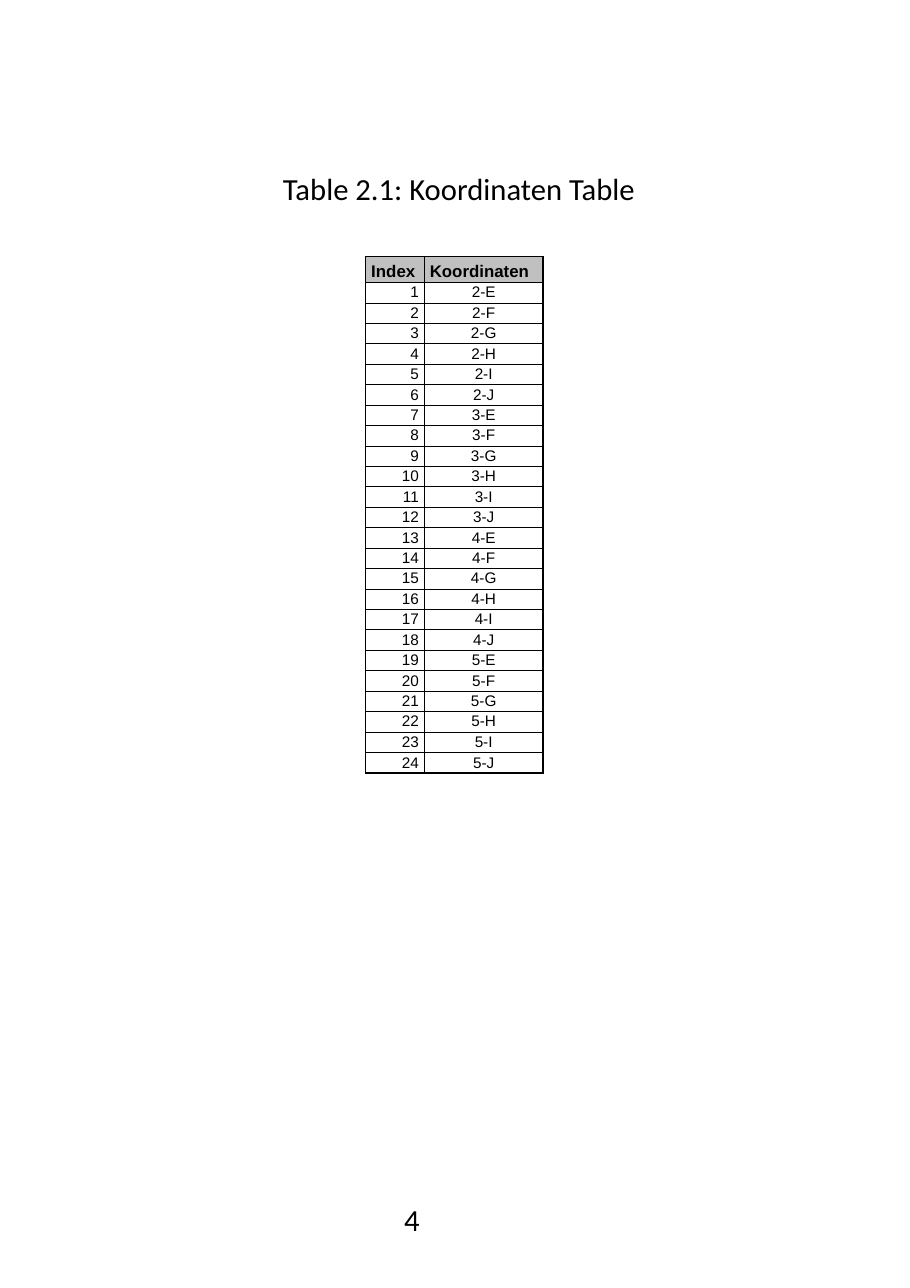
"""Build a page with a captioned table of board coordinates."""
from itertools import product

from lxml.etree import SubElement
from pptx import Presentation
from pptx.dml.color import RGBColor as Rgb
from pptx.enum.text import MSO_AUTO_SIZE as Auto, PP_ALIGN as Align
from pptx.oxml.ns import qn
from pptx.util import Inches, Pt

HEAD = ("Index", "Koordinaten")
CELLS = [f"{row}-{col}" for row, col in product("2345", "EFGHIJ")]
ROWS = [HEAD] + [(str(n), name) for n, name in enumerate(CELLS, 1)]
COLOURS = {"ink": "000000", "head": "C0C0C0"}

WIDE, HIGH = 8.26, 11.69
NOTES = [
    ("4", (43.22, 92.81, 17.92, 3.76)),
    ("Table 2.1: Koordinaten Table", (29.9, 12.75, 59.69, 3.76)),
]
GRID = (40.19, 19.93, 19.49, 40.12)
COLS = (0.33, 0.67)
TOP, LAST = 0.05, 0.04


def place(box):
    """Turn percentages of the slide into lengths."""
    return [Inches(part * side / 100) for part, side in zip(box, (WIDE, HIGH) * 2)]


def style(para, font, size, bold=False):
    """Format the runs of a paragraph."""
    for run in para.runs:
        run.font.name, run.font.size, run.font.bold = font, Pt(size), bold
        run.font.color.rgb = Rgb.from_string(COLOURS["ink"])


def edge(cell, widths):
    """Draw the left, right, top and bottom borders of a cell."""
    props = cell._tc.get_or_add_tcPr()
    for spot, (side, width) in enumerate(zip("LRTB", widths)):
        line = SubElement(props, qn(f"a:ln{side}"), w=str(Pt(width)))
        fill = SubElement(line, qn("a:solidFill"))
        SubElement(fill, qn("a:srgbClr"), val=COLOURS["ink"])
        props.insert(spot, line)


def add_grid(slide):
    """Add the table of coordinates."""
    left, top, width, height = place(GRID)
    count = len(ROWS)
    table = slide.shapes.add_table(count, 2, left, top, width, height).table
    table.first_row = table.horz_banding = False
    for col, share in zip(table.columns, COLS):
        col.width = int(width * share)
    body = (1 - TOP - LAST) / (count - 2)
    shares = [TOP] + [body] * (count - 2) + [LAST]
    for r, (texts, share) in enumerate(zip(ROWS, shares)):
        table.rows[r].height = int(height * share)
        head, end = r == 0, r == count - 1
        for c, text in enumerate(texts):
            cell = table.cell(r, c)
            cell.margin_left = Inches(0.05 if head else 0)
            cell.margin_right = Inches(0 if head or c else 0.05)
            cell.margin_top = Inches(0.04 if head else 0.02 if end else 0.01)
            cell.margin_bottom = 0
            if head:
                cell.fill.solid()
                cell.fill.fore_color.rgb = Rgb.from_string(COLOURS["head"])
            else:
                cell.fill.background()
            edge(cell, [1 if outer else 0.5 for outer in (c == 0, c == 1, head, end)])
            para = cell.text_frame.paragraphs[0]
            para.text = text
            para.alignment = Align.LEFT if head else Align.CENTER if c else Align.RIGHT
            para.line_spacing = Pt(12.7 if head else 11.5)
            para.space_before = Pt(2.9 if head else 1.5 if end else 0.7)
            style(para, "Arial", 11 if head else 10, head)


def add_note(slide, text, box):
    """Add a line of text."""
    frame = slide.shapes.add_textbox(*place(box)).text_frame
    frame.word_wrap = True
    frame.auto_size = Auto.SHAPE_TO_FIT_TEXT
    frame.text = text
    style(frame.paragraphs[0], "Calibri", 20)


def main():
    deck = Presentation()
    deck.slide_width, deck.slide_height = Inches(WIDE), Inches(HIGH)
    slide = deck.slides.add_slide(deck.slide_layouts[6])
    add_grid(slide)
    for text, box in NOTES:
        add_note(slide, text, box)
    deck.save("out.pptx")


if __name__ == "__main__":
    main()
